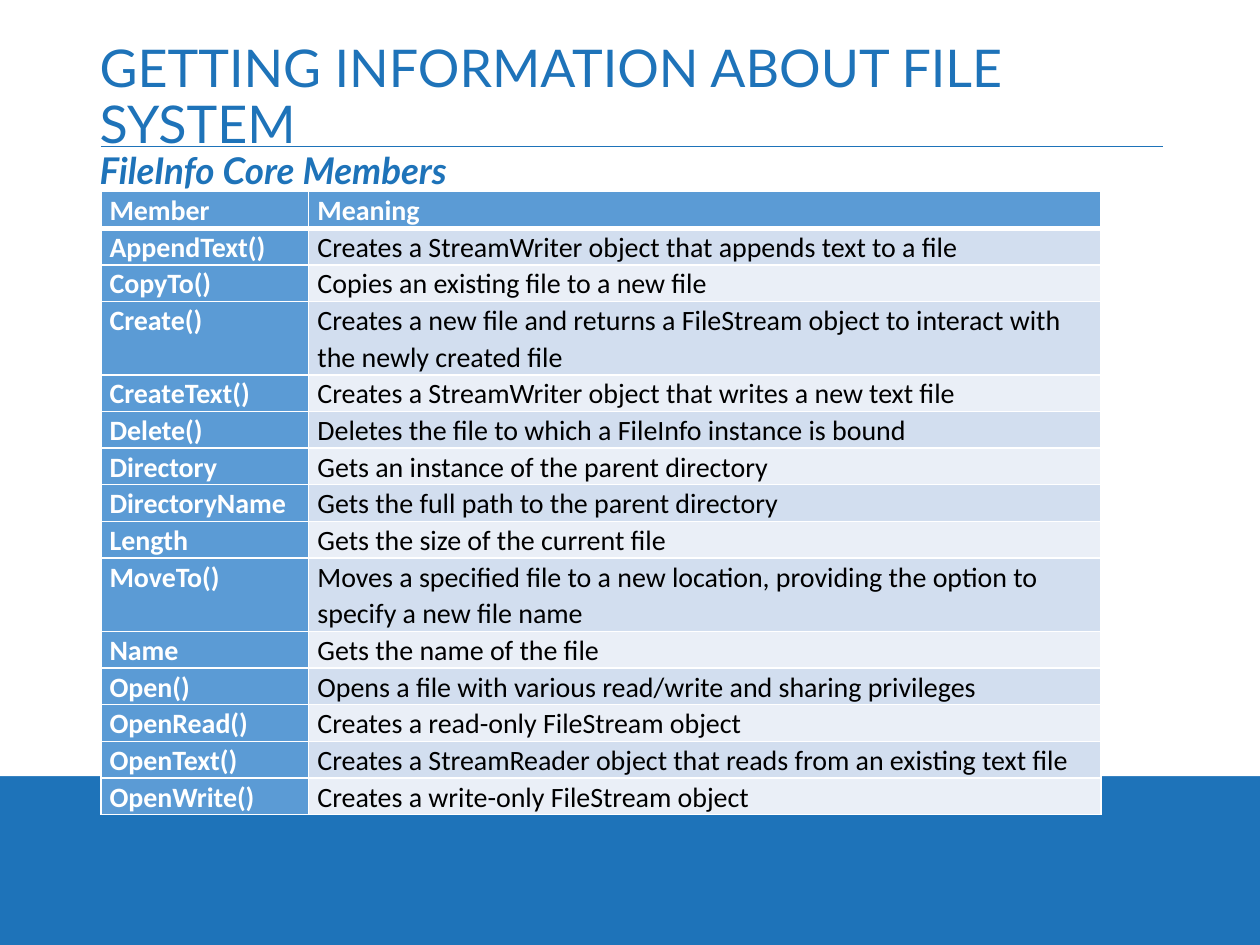
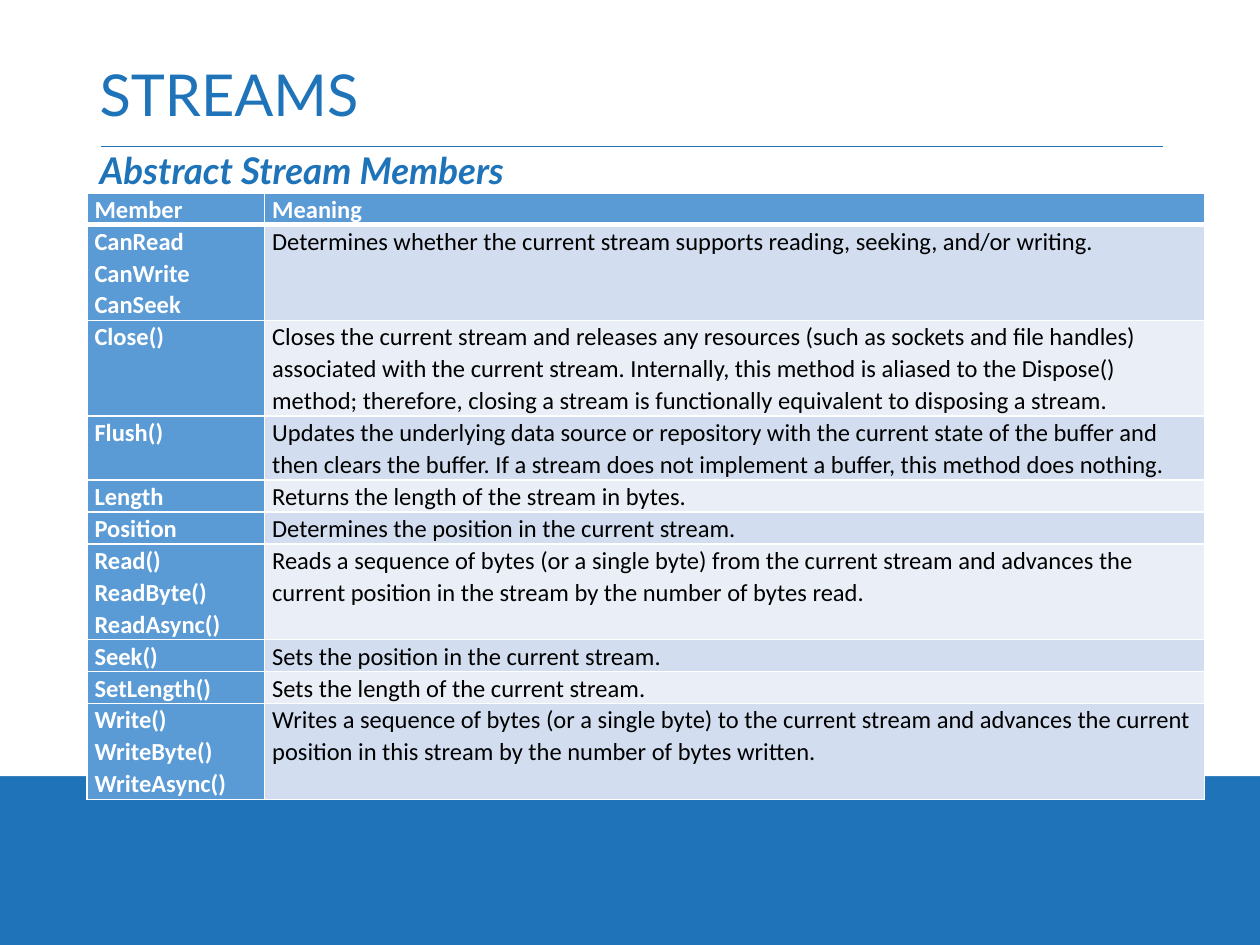
import math
from dataclasses import dataclass

import pptx
import pptx.dml.color
import pptx.enum.shapes
import pptx.enum.text
import pptx.oxml
import pptx.oxml.ns
import pptx.util

Inches = pptx.util.Inches
Pt = pptx.util.Pt


def rgb(code):
    return pptx.dml.color.RGBColor.from_string(code)


@dataclass(frozen=True)
class Theme:
    blue: str = "1E73B9"
    white: str = "FFFFFF"
    black: str = "000000"
    header: str = "5B9BD5"
    bands: tuple = ("D2DEEF", "EAEFF7")
    heading_font: str = "Lato"
    table_font: str = "Calibri"
    title_size: float = 33
    subtitle_size: float = 21


class Deck:
    """Holds the theme and the current slide."""

    def __init__(self, theme):
        self.theme = theme
        self.prs = pptx.Presentation()
        self.prs.slide_width = Inches(10)
        self.prs.slide_height = Inches(7.5)
        self.layout = self.prs.slide_layouts[1]
        self.slide = None

    def add_slide(self):
        self.slide = self.prs.slides.add_slide(self.layout)
        if len(self.prs.slides) == 1:
            self.style_layout()

    def style_layout(self):
        """Put the blue ground, white panel and rule on the shared layout."""
        fill = self.layout.background.fill
        fill.solid()
        fill.fore_color.rgb = rgb(self.theme.blue)

        panel = self.slide.shapes.add_shape(
            pptx.enum.shapes.MSO_SHAPE.RECTANGLE, 0, 0, Inches(10), Inches(6.16))
        panel.shadow.inherit = False
        panel.fill.solid()
        panel.fill.fore_color.rgb = rgb(self.theme.white)
        panel.line.fill.background()

        rule = self.slide.shapes.add_connector(
            pptx.enum.shapes.MSO_CONNECTOR.STRAIGHT,
            Inches(0.8), Inches(1.16), Inches(9.23), Inches(1.16))
        rule.line.color.rgb = rgb(self.theme.blue)
        rule.line.width = Pt(0.5)
        sp_pr = rule.element.find(pptx.oxml.ns.qn("p:spPr"))
        sp_pr.append(pptx.oxml.parse_xml(
            f'<a:effectLst {pptx.oxml.ns.nsdecls("a")}/>'))

        # Move both behind the layout's placeholders
        for i, sp in enumerate((panel, rule)):
            sp.element.xpath(".//p:cNvPr")[0].set("id", str(20 + i))
            self.layout.shapes.element.insert(2 + i, sp.element)

    def heading(self, sp, text, top, height, size):
        """Place a placeholder and give it one left-aligned heading line."""
        sp.left, sp.top = Inches(0.69), Inches(top)
        sp.width, sp.height = Inches(8.62), Inches(height)
        tf = sp.text_frame
        tf.text = text
        tf.word_wrap = True
        tf.auto_size = pptx.enum.text.MSO_AUTO_SIZE.NONE
        p = tf.paragraphs[0]
        p.alignment = pptx.enum.text.PP_ALIGN.LEFT
        p.line_spacing = 0.9
        p.font.name = self.theme.heading_font
        p.font.size = Pt(size)
        p.font.color.rgb = rgb(self.theme.blue)
        return tf

    def title(self, text, size=None):
        tf = self.heading(self.slide.shapes.title, text, 0.4, 0.76,
                          size or self.theme.title_size)
        tf.vertical_anchor = pptx.enum.text.MSO_ANCHOR.MIDDLE

    def subtitle(self, text):
        tf = self.heading(self.slide.placeholders[1], text, 1.16, 4.75,
                          self.theme.subtitle_size)
        tf.vertical_anchor = pptx.enum.text.MSO_ANCHOR.TOP
        p = tf.paragraphs[0]
        p.space_before = Pt(7.5)
        p.font.bold = p.font.italic = True
        p_pr = p.font._element.getparent()
        p_pr.set("marL", "0")
        p_pr.set("indent", "0")
        p_pr.find(pptx.oxml.ns.qn("a:defRPr")).addprevious(
            pptx.oxml.parse_xml(f'<a:buNone {pptx.oxml.ns.nsdecls("a")}/>'))

    def borders(self, cell, bottom):
        """White cell borders; they come before the fill in the cell."""
        tc_pr = cell._tc.get_or_add_tcPr()
        widths = {"lnL": 1, "lnR": 1, "lnT": 1, "lnB": bottom}
        for i, (side, width) in enumerate(widths.items()):
            tc_pr.insert(i, pptx.oxml.parse_xml(
                f'<a:{side} {pptx.oxml.ns.nsdecls("a")} w="{Pt(width)}">'
                f'<a:solidFill><a:srgbClr val="{self.theme.white}"/></a:solidFill>'
                f'</a:{side}>'))

    def cell(self, cell, text, fill, size, inset, strong, bottom):
        cell.fill.solid()
        cell.fill.fore_color.rgb = rgb(fill)
        cell.margin_left = cell.margin_right = Inches(inset)
        cell.margin_top = cell.margin_bottom = 0
        cell.text_frame.text = text
        for p in cell.text_frame.paragraphs:
            p.line_spacing = 1.07
            p.font.name = self.theme.table_font
            p.font.size = Pt(size)
            p.font.bold = strong
            p.font.color.rgb = rgb(self.theme.white if strong else self.theme.black)
        self.borders(cell, bottom)

    def table(self, members, left, top, widths, size, inset, line_height, line_chars):
        """Member table: blue header and first column, banded meanings."""
        rows = [("Member", "Meaning"), *members]
        lines = [max(name.count("\n") + 1, math.ceil(len(meaning) / line_chars))
                 for name, meaning in rows]
        table = self.slide.shapes.add_table(
            len(rows), 2, Inches(left), Inches(top), Inches(sum(widths)),
            Inches(line_height * sum(lines))).table
        for column, width in zip(table.columns, widths):
            column.width = Inches(width)
        for i, row in enumerate(rows):
            table.rows[i].height = Inches(line_height * lines[i])
            for j, text in enumerate(row):
                strong = i == 0 or j == 0
                fill = self.theme.header if strong else self.theme.bands[(i - 1) % 2]
                self.cell(table.cell(i, j), text, fill, size, inset, strong,
                          bottom=3 if i == 0 else 1)


FILE_INFO_MEMBERS = [
    ("AppendText()", "Creates a StreamWriter object that appends text to a file"),
    ("CopyTo()", "Copies an existing file to a new file"),
    ("Create()", "Creates a new file and returns a FileStream object to interact "
                 "with the newly created file"),
    ("CreateText()", "Creates a StreamWriter object that writes a new text file"),
    ("Delete()", "Deletes the file to which a FileInfo instance is bound"),
    ("Directory", "Gets an instance of the parent directory"),
    ("DirectoryName", "Gets the full path to the parent directory"),
    ("Length", "Gets the size of the current file"),
    ("MoveTo()", "Moves a specified file to a new location, providing the option "
                 "to specify a new file name"),
    ("Name", "Gets the name of the file"),
    ("Open()", "Opens a file with various read/write and sharing privileges"),
    ("OpenRead()", "Creates a read-only FileStream object"),
    ("OpenText()", "Creates a StreamReader object that reads from an existing text file"),
    ("OpenWrite()", "Creates a write-only FileStream object"),
]

STREAM_MEMBERS = [
    ("CanRead\nCanWrite\nCanSeek",
     "Determines whether the current stream supports reading, seeking, and/or writing."),
    ("Close()",
     "Closes the current stream and releases any resources (such as sockets and file "
     "handles) associated with the current stream. Internally, this method is aliased "
     "to the Dispose() method; therefore, closing a stream is functionally equivalent "
     "to disposing a stream."),
    ("Flush()",
     "Updates the underlying data source or repository with the current state of the "
     "buffer and then clears the buffer. If a stream does not implement a buffer, this "
     "method does nothing."),
    ("Length", "Returns the length of the stream in bytes."),
    ("Position", "Determines the position in the current stream."),
    ("Read()\nReadByte()\nReadAsync()",
     "Reads a sequence of bytes (or a single byte) from the current stream and advances "
     "the current position in the stream by the number of bytes read."),
    ("Seek()", "Sets the position in the current stream."),
    ("SetLength()", "Sets the length of the current stream."),
    ("Write()\nWriteByte()\nWriteAsync()",
     "Writes a sequence of bytes (or a single byte) to the current stream and advances "
     "the current position in this stream by the number of bytes written."),
]


def main():
    deck = Deck(Theme())

    # FileInfo members
    deck.add_slide()
    deck.title("GETTING INFORMATION ABOUT FILE SYSTEM", size=29.7)
    deck.subtitle("FileInfo Core Members")
    deck.table(FILE_INFO_MEMBERS, left=0.8, top=1.52, widths=(1.65, 6.29),
               size=16, inset=0.07, line_height=0.25, line_chars=70)

    # Stream members
    deck.add_slide()
    deck.title("STREAMS")
    deck.subtitle("Abstract Stream Members")
    deck.table(STREAM_MEMBERS, left=0.69, top=1.53, widths=(1.41, 7.46),
               size=14, inset=0.06, line_height=0.21, line_chars=90)

    deck.prs.save("out.pptx")


if __name__ == "__main__":
    main()
